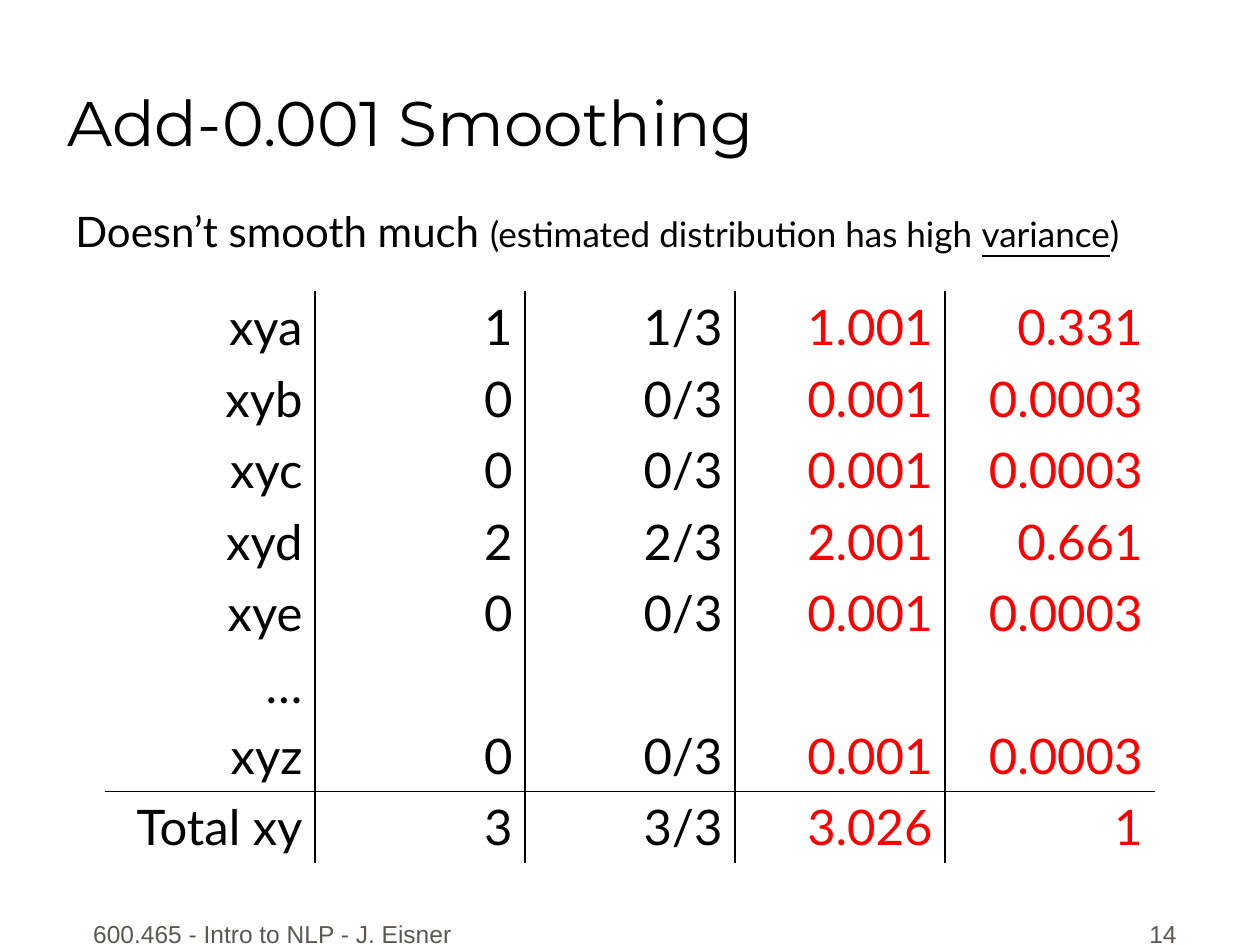
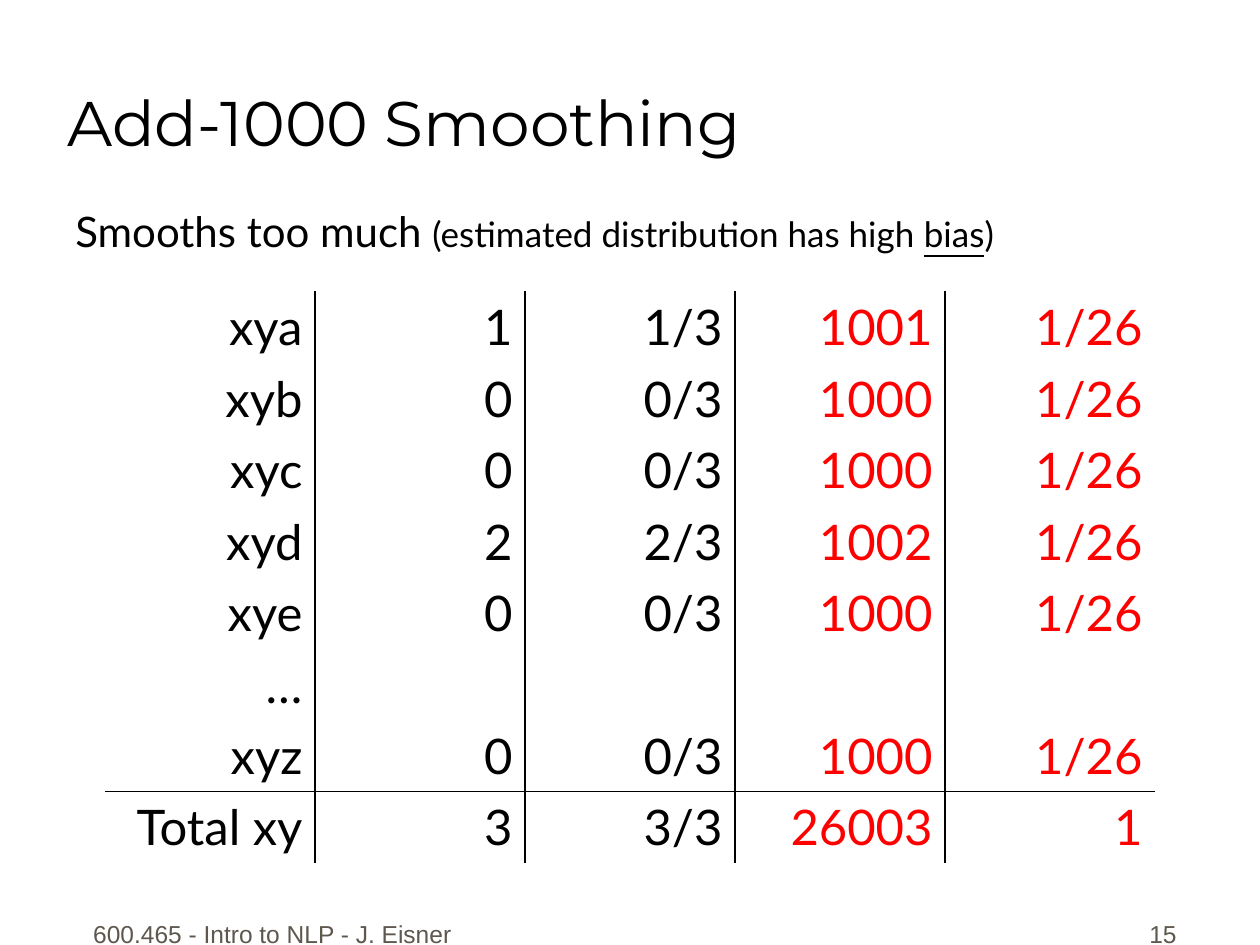
from dataclasses import dataclass

from lxml import etree
from pptx import Presentation
from pptx.dml.color import RGBColor
from pptx.enum.text import MSO_ANCHOR, PP_ALIGN
from pptx.oxml.ns import qn
from pptx.util import Pt

LEFT, CENTER, RIGHT = PP_ALIGN.LEFT, PP_ALIGN.CENTER, PP_ALIGN.RIGHT
TOP, BOTTOM = MSO_ANCHOR.TOP, MSO_ANCHOR.BOTTOM
PX = 914400 / 126
NO_GRID_STYLE = "{2D5ABB26-0587-4C30-8999-92F81FD0307C}"


# Colours, fonts and type sizes
@dataclass(frozen=True)
class Theme:
    ink: str = "000000"
    accent: str = "FF0000"
    muted: str = "5E574E"
    title_font: str = "Montserrat"
    body_font: str = "Lato"
    footer_font: str = "Arial"
    title: int = 36
    lead: int = 24
    remark: int = 20
    cell: int = 28
    footer: int = 14
    rule: int = 1


T = Theme()

# Content
FOOTER = "600.465 - Intro to NLP - J. Eisner"
REMARK = "(estimated distribution has high "
COUNTS = [  # context, count, unsmoothed estimate
    ("xya", "1", "1/3"),
    ("xyb", "0", "0/3"),
    ("xyc", "0", "0/3"),
    ("xyd", "2", "2/3"),
    ("xye", "0", "0/3"),
    ("…", "", ""),
    ("xyz", "0", "0/3"),
    ("Total xy", "3", "3/3"),
]
SLIDES = [
    dict(number="14", title="Add-0.001 Smoothing",
         lead="Doesn’t smooth much ", term="variance",
         smoothed=["1.001", "0.001", "0.001", "2.001", "0.001", "", "0.001", "3.026"],
         estimate=["0.331", "0.0003", "0.0003", "0.661", "0.0003", "", "0.0003", "1"]),
    dict(number="15", title="Add-1000 Smoothing",
         lead="Smooths too much ", term="bias",
         smoothed=["1001", "1000", "1000", "1002", "1000", "", "1000", "26003"],
         estimate=["1/26"] * 5 + ["", "1/26", "1"]),
]

# Places in pixels: left, top, width, height
TITLE_BOX = (55, 8, 1205, 157)
BODY_BOX = (63, 199, 1197, 640)
FOOTER_BOX = (73, 892, 399, 63)
NUMBER_BOX = (927, 892, 262, 63)
TABLE_BOX = (105, 291, 1050, 571)
HANGING = 48
FIRST_SMOOTHED_COL = 3


def px(n):
    return round(n * PX)


def add_run(p, text, font, size, color, underline=None):
    r = p.add_run()
    r.text = text
    r.font.name, r.font.size = font, Pt(size)
    r.font.color.rgb = RGBColor.from_string(color)
    r.font.underline = underline


def add_text(s, box, align=LEFT, anchor=BOTTOM):
    """Add a wrapping text box and return its first paragraph."""
    tf = s.shapes.add_textbox(*map(px, box)).text_frame
    tf.word_wrap = True
    tf.vertical_anchor = anchor
    p = tf.paragraphs[0]
    p.alignment = align
    return p


def set_borders(cell, sides):
    """Draw the sides in sides (of L, R, T, B) and clear the others."""
    tc_pr = cell._tc.get_or_add_tcPr()
    for i, side in enumerate("LRTB"):
        ln = etree.Element(qn(f"a:ln{side}"), w=str(Pt(T.rule)))
        if side in sides:
            fill = etree.SubElement(ln, qn("a:solidFill"))
            etree.SubElement(fill, qn("a:srgbClr"), val=T.ink)
        else:
            etree.SubElement(ln, qn("a:noFill"))
        tc_pr.insert(i, ln)


def add_count_table(s, rows):
    n_rows, n_cols = len(rows), len(rows[0])
    table = s.shapes.add_table(n_rows, n_cols, *map(px, TABLE_BOX)).table
    table.first_row = table.horz_banding = False
    table._tbl.tblPr.find(qn("a:tableStyleId")).text = NO_GRID_STYLE
    for i, row in enumerate(rows):
        for j, text in enumerate(row):
            cell = table.cell(i, j)
            cell.fill.background()
            # Rules between columns, and one above the total row
            sides = {"L": j > 0, "R": j < n_cols - 1,
                     "T": i == n_rows - 1, "B": i == n_rows - 2}
            set_borders(cell, [side for side, drawn in sides.items() if drawn])
            p = cell.text_frame.paragraphs[0]
            p.alignment = RIGHT
            if text:
                color = T.accent if j >= FIRST_SMOOTHED_COL else T.ink
                add_run(p, text, T.body_font, T.cell, color)


def add_slide(prs, data):
    s = prs.slides.add_slide(prs.slide_layouts[6])

    # Footer and slide number
    for box, text, align in ((FOOTER_BOX, FOOTER, CENTER),
                             (NUMBER_BOX, data["number"], RIGHT)):
        add_run(add_text(s, box, align), text, T.footer_font, T.footer, T.muted)

    # Title
    add_run(add_text(s, TITLE_BOX), data["title"], T.title_font, T.title, T.ink)

    # Table of counts and estimates
    add_count_table(s, [(*counts, smoothed, estimate) for counts, smoothed, estimate
                        in zip(COUNTS, data["smoothed"], data["estimate"])])

    # Statement with the key term underlined
    p = add_text(s, BODY_BOX, anchor=TOP)
    p_pr = p._p.get_or_add_pPr()
    p_pr.set("marL", str(px(HANGING)))
    p_pr.set("indent", str(-px(HANGING)))
    add_run(p, data["lead"], T.body_font, T.lead, T.ink)
    for text, underline in ((REMARK, None), (data["term"], True), (")", None)):
        add_run(p, text, T.body_font, T.remark, T.ink, underline)


prs = Presentation()
prs.slide_width, prs.slide_height = px(1260), px(945)
for data in SLIDES:
    add_slide(prs, data)
prs.save("out.pptx")
